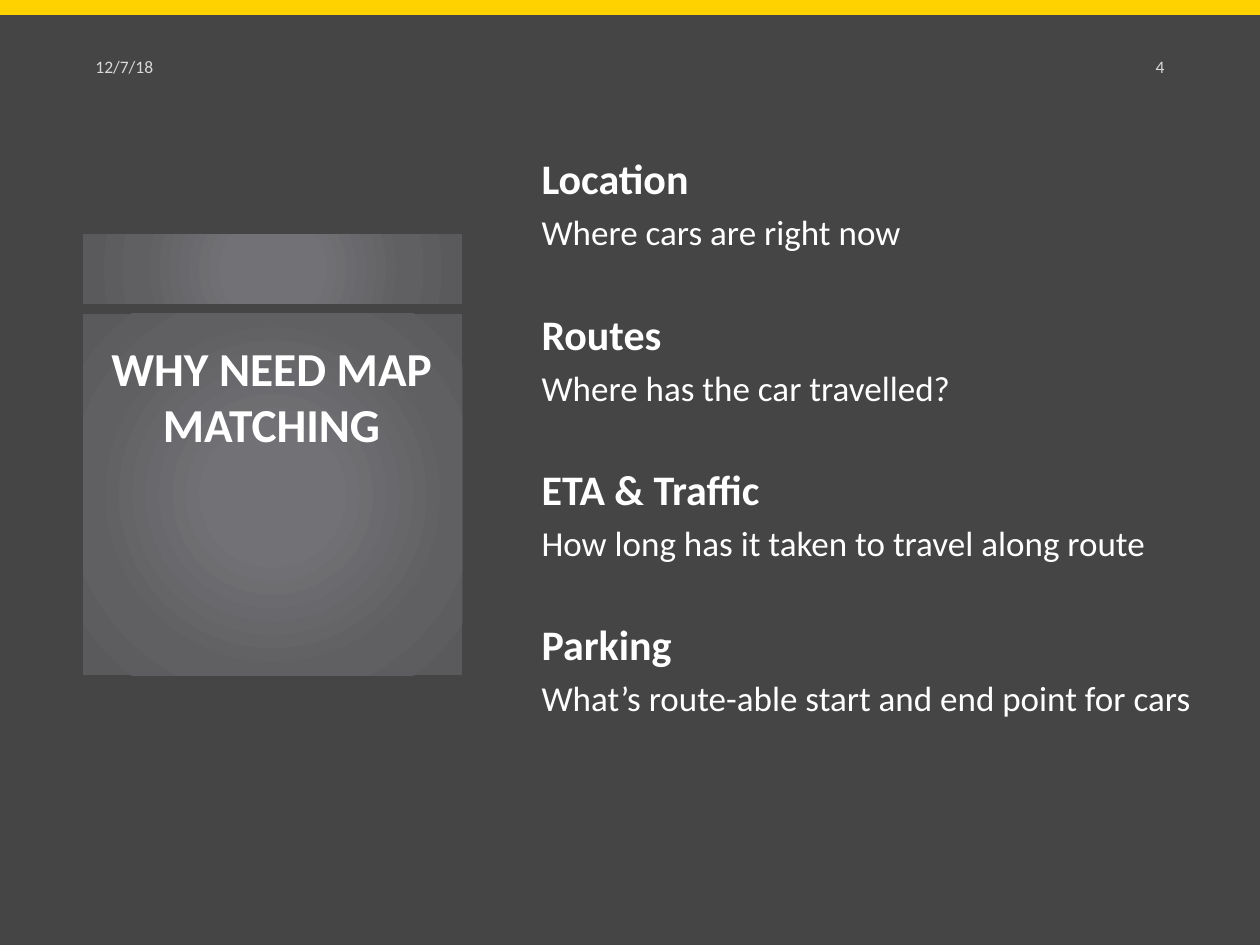
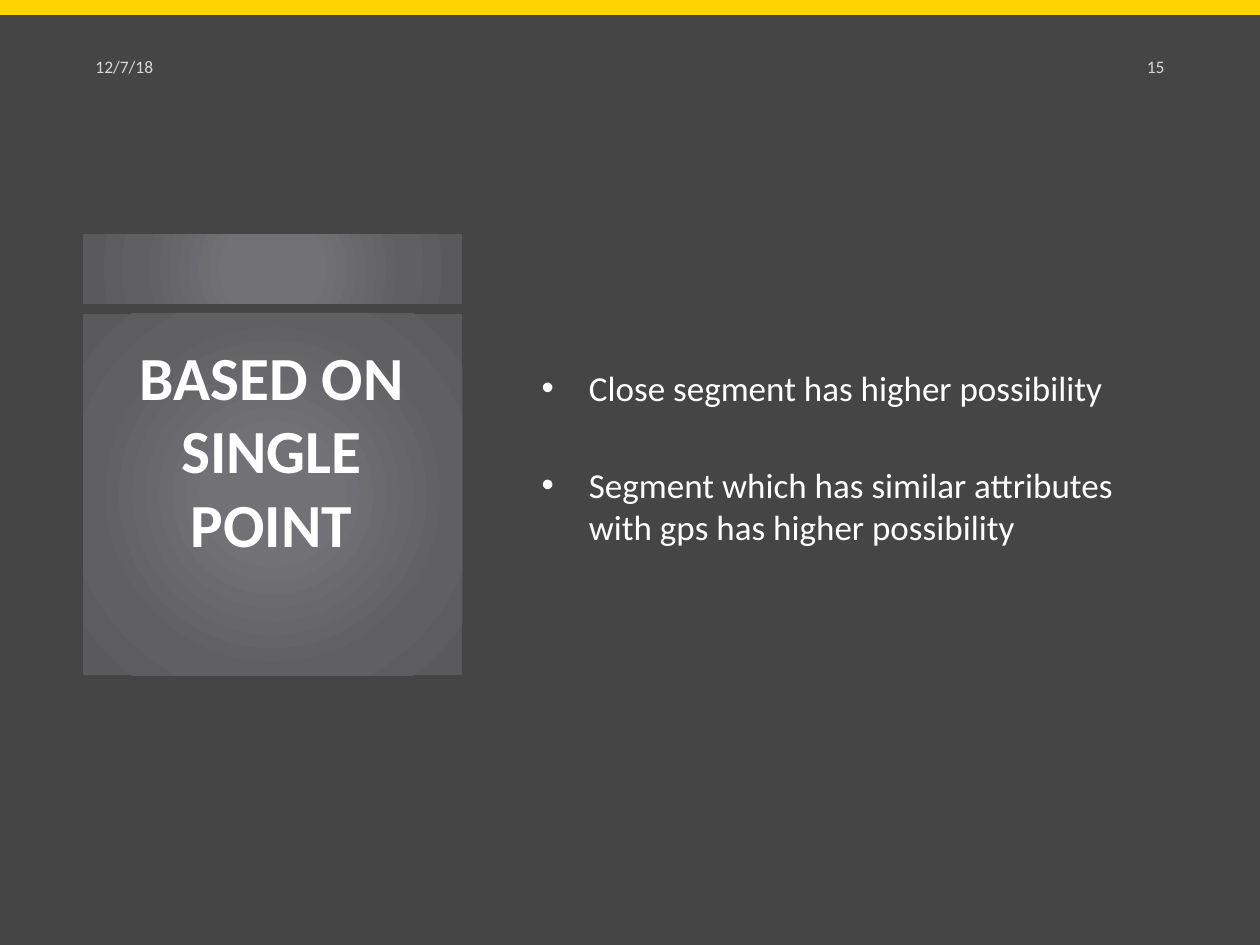
"""Build two map matching slides with a dark title card and body text."""
from pptx import Presentation
from pptx.dml.color import RGBColor
from pptx.enum.shapes import MSO_SHAPE
from pptx.enum.text import MSO_ANCHOR, PP_ALIGN
from pptx.oxml import parse_xml
from pptx.oxml.ns import nsdecls, qn
from pptx.util import Pt

RECTANGLE = MSO_SHAPE.RECTANGLE
TOP, MIDDLE = MSO_ANCHOR.TOP, MSO_ANCHOR.MIDDLE
LEFT, CENTER, RIGHT = PP_ALIGN.LEFT, PP_ALIGN.CENTER, PP_ALIGN.RIGHT

FONT = "Calibri"
COLORS = {
    "background": "454545",
    "band": "FFD200",
    "text": "FFFFFF",
    "header": "D9D9D9",
    "glow": "727175",
    "card": "605F62",
    "edge": "5A595C",
}
CARD_STOPS = ((0, "glow"), (23, "glow"), (69, "card"), (97, "edge"))

SLIDE_WIDTH, SLIDE_HEIGHT = 720, 540
BAND_HEIGHT = 8
HEADER_BOX = (47.5, 25.2, 625, 25.2)
CARD_BOX = (47.5, 133.9, 216.7, 252)
REASONS_BOX = (302.4, 63.4, 398.2, 371.2)
POINTS_BOX = (302.4, 63.4, 370.8, 395)
SECTION_GAP, DETAIL_GAP = 31.5, 4.4
BULLET_INDENT = 27

DATE = "12/7/18"
REASONS = (
    ("Location", "Where cars are right now"),
    ("Routes", "Where has the car travelled?"),
    ("ETA & Traffic", "How long has it taken to travel along route"),
    ("Parking", "What’s route-able start and end point for cars"),
)
POINTS = (
    "Close segment has higher possibility",
    "Segment which has similar attributes with gps has higher possibility",
)


def rgb(name):
    """Return the named palette colour."""
    return RGBColor.from_string(COLORS[name])


def add_frame(slide, box, anchor):
    """Add a wrapping text box and return its text frame."""
    frame = slide.shapes.add_textbox(*map(Pt, box)).text_frame
    frame.word_wrap = True
    frame.vertical_anchor = anchor
    return frame


def write(paragraph, text, size, color="text", bold=False, align=LEFT, before=0):
    """Fill a paragraph with text in one style."""
    paragraph.text = text
    paragraph.alignment = align
    if before:
        paragraph.space_before = Pt(before)
    font = paragraph.font
    font.name, font.size, font.bold = FONT, Pt(size), bold
    font.color.rgb = rgb(color)


def add_bullet(paragraph):
    """Give a paragraph a hanging round bullet."""
    properties = paragraph._p.get_or_add_pPr()
    properties.set("marL", str(Pt(BULLET_INDENT)))
    properties.set("indent", str(-Pt(BULLET_INDENT)))
    properties.append(parse_xml(f'<a:buFont {nsdecls("a")} typeface="Arial"/>'))
    properties.append(parse_xml(f'<a:buChar {nsdecls("a")} char="•"/>'))


def add_band(slide, box):
    """Draw the yellow band."""
    band = slide.shapes.add_shape(RECTANGLE, *map(Pt, box))
    band.shadow.inherit = False
    band.fill.solid()
    band.fill.fore_color.rgb = rgb("band")
    band.line.color.rgb = rgb("band")
    band.line.width = Pt(0.75)


def add_header(slide, box, number):
    """Write the date at the left and the slide number at the right."""
    left, top, width, height = box
    date_width, number_width = 216, 54
    date = add_frame(slide, (left, top, date_width, height), MIDDLE)
    write(date.paragraphs[0], DATE, 10, "header")
    number_left = left + width - number_width
    page = add_frame(slide, (number_left, top, number_width, height), MIDDLE)
    write(page.paragraphs[0], str(number), 10, "header", align=RIGHT)


def add_glow_panel(slide, box):
    """Draw a panel with a circular gradient."""
    panel = slide.shapes.add_shape(RECTANGLE, *map(Pt, box))
    panel.shadow.inherit = False
    panel.line.fill.background()
    panel.fill.background()
    stops = "".join(
        f'<a:gs pos="{position * 1000}"><a:srgbClr val="{COLORS[name]}"/></a:gs>'
        for position, name in CARD_STOPS
    )
    gradient = parse_xml(
        f'<a:gradFill {nsdecls("a")} rotWithShape="1"><a:gsLst>{stops}</a:gsLst>'
        '<a:path path="circle"><a:fillToRect l="50000" t="50000" r="50000" b="50000"/>'
        "</a:path></a:gradFill>"
    )
    properties = panel._element.spPr
    properties.replace(properties.find(qn("a:noFill")), gradient)


def add_title_card(slide, box, title, size):
    """Draw the two-part card and its title."""
    left, top, width, height = box
    lid_height, gap, margin = 39.6, 5.8, 5.8
    body_top = top + lid_height + gap
    body_height = height - lid_height - gap
    add_glow_panel(slide, (left, top, width, lid_height))
    add_glow_panel(slide, (left, body_top, width, body_height))
    title_box = (left + margin, body_top + 10.8, 203.8, body_height - 18)
    heading = add_frame(slide, title_box, TOP)
    write(heading.paragraphs[0], title, size, bold=True, align=CENTER)


def add_reasons(slide, box, reasons):
    """List each reason as a bold heading above its detail."""
    frame = add_frame(slide, box, MIDDLE)
    for index, (heading, detail) in enumerate(reasons):
        paragraph = frame.add_paragraph() if index else frame.paragraphs[0]
        write(paragraph, heading, 24, bold=True, before=SECTION_GAP if index else 0)
        write(frame.add_paragraph(), detail, 20, before=DETAIL_GAP)


def add_points(slide, box, points):
    """List the points with bullets."""
    frame = add_frame(slide, box, MIDDLE)
    for index, point in enumerate(points):
        paragraph = frame.add_paragraph() if index else frame.paragraphs[0]
        add_bullet(paragraph)
        write(paragraph, point, 20, before=SECTION_GAP if index else 0)


def add_card_slide(deck, number, title, title_size):
    """Add a slide with the shared background, band, header and title card."""
    slide = deck.slides.add_slide(deck.slide_layouts[6])
    slide.background.fill.solid()
    slide.background.fill.fore_color.rgb = rgb("background")
    add_band(slide, (0, 0, SLIDE_WIDTH, BAND_HEIGHT))
    add_title_card(slide, CARD_BOX, title, title_size)
    add_header(slide, HEADER_BOX, number)
    return slide


def main():
    """Build and save both slides."""
    deck = Presentation()
    deck.slide_width, deck.slide_height = Pt(SLIDE_WIDTH), Pt(SLIDE_HEIGHT)
    why_matching = add_card_slide(deck, 4, "WHY NEED MAP MATCHING", 27)
    add_reasons(why_matching, REASONS_BOX, REASONS)
    single_point = add_card_slide(deck, 15, "BASED ON SINGLE POINT", 35)
    add_points(single_point, POINTS_BOX, POINTS)
    deck.save("out.pptx")


if __name__ == "__main__":
    main()
